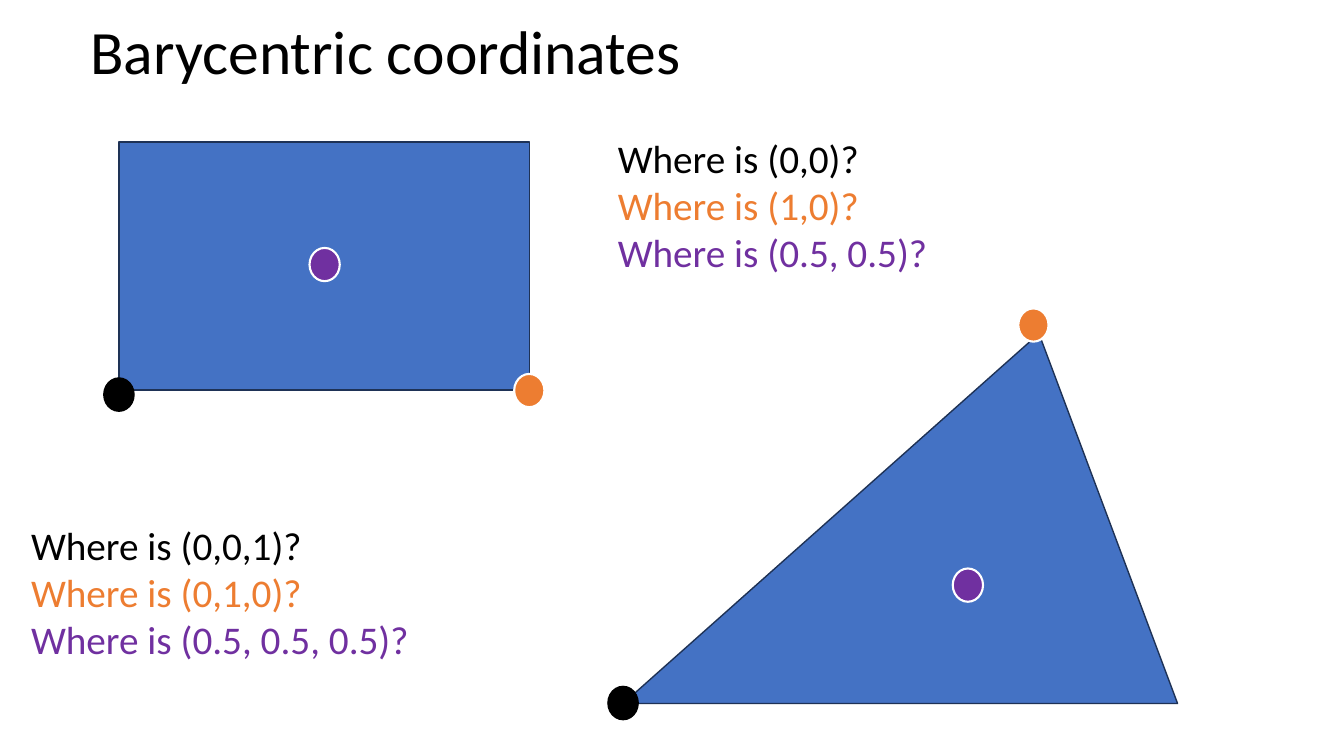
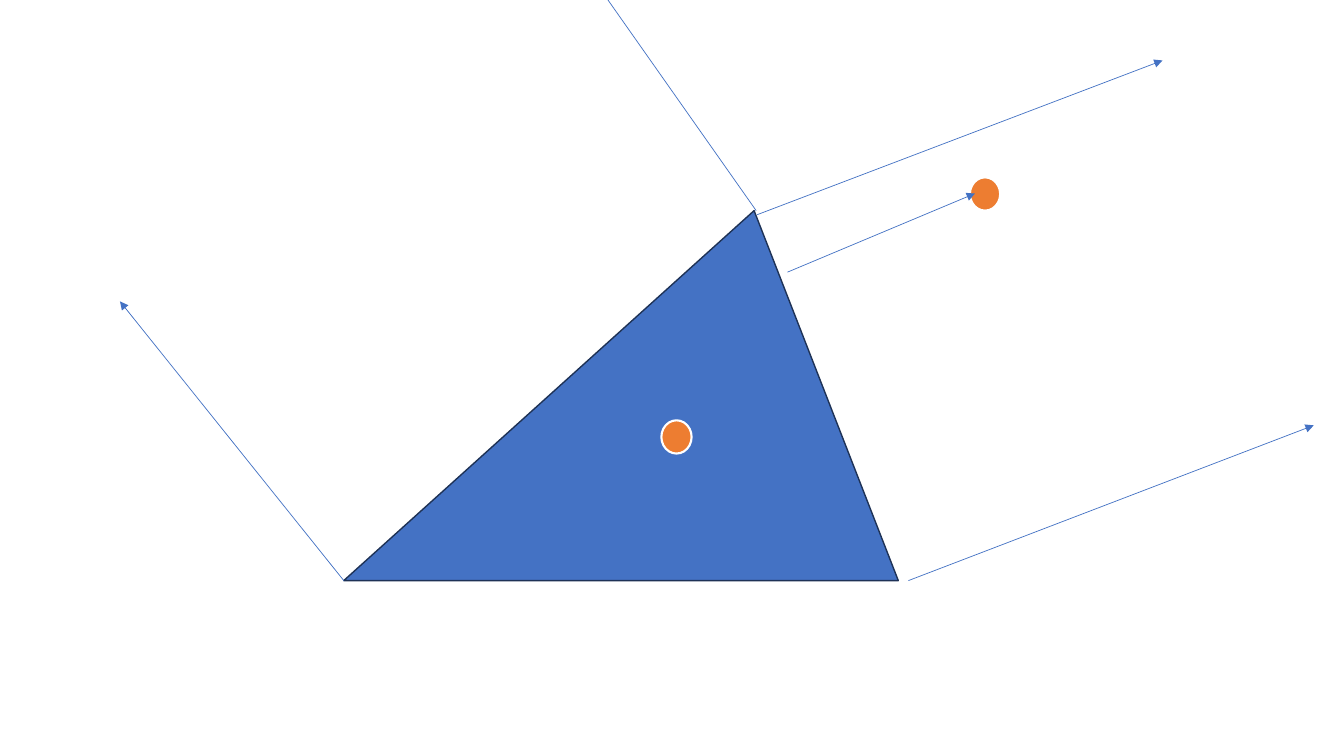
from dataclasses import dataclass

from lxml.etree import SubElement
from pptx import Presentation
from pptx.dml.color import RGBColor
from pptx.enum.shapes import MSO_CONNECTOR as Line, MSO_SHAPE as Form
from pptx.enum.text import MSO_ANCHOR as Anchor
from pptx.oxml.ns import qn
from pptx.util import Inches, Pt

# Shared look
BLACK = RGBColor(0x00, 0x00, 0x00)
WHITE = RGBColor(0xFF, 0xFF, 0xFF)
BLUE = RGBColor(0x44, 0x72, 0xC4)
NAVY = RGBColor(0x1E, 0x32, 0x56)
ORANGE = RGBColor(0xED, 0x7D, 0x31)
PURPLE = RGBColor(0x70, 0x30, 0xA0)
TITLE = {"name": "Calibri", "size": Pt(44)}
BODY = {"name": "Calibri", "size": Pt(28)}
FRAME = {"word_wrap": True, "vertical_anchor": Anchor.TOP}
TITLE_FRAME = {**FRAME, "vertical_anchor": Anchor.MIDDLE}
TINTS = (BLACK, ORANGE, PURPLE)
DOT_W, DOT_H = 0.3, 0.33


@dataclass
class Box:
    x: float
    y: float
    w: float
    h: float

    def place(self) -> tuple:
        return tuple(Inches(v) for v in (self.x, self.y, self.w, self.h))


@dataclass
class Dot:
    x: float
    y: float
    fill: RGBColor = ORANGE
    edge: RGBColor = WHITE
    width: float = 1.5


@dataclass
class Ray:
    start: tuple
    end: tuple
    arrow: bool = True


@dataclass
class Query:
    box: Box
    points: tuple


def apply(target, style: dict) -> None:
    for key, value in style.items():
        setattr(target, key, value)


def add_form(slide, form, box: Box, fill=BLUE, edge=NAVY, width=1.0):
    shape = slide.shapes.add_shape(form, *box.place())
    shape.shadow.inherit = False
    shape.fill.solid()
    shape.fill.fore_color.rgb = fill
    shape.line.color.rgb = edge
    shape.line.width = Pt(width)
    return shape


def add_wedge(slide, x: float, y: float, peak: float) -> None:
    wedge = add_form(slide, Form.ISOSCELES_TRIANGLE, Box(x, y, 5.5, 3.67))
    wedge.adjustments[0] = peak


def add_dot(slide, dot: Dot) -> None:
    box = Box(dot.x, dot.y, DOT_W, DOT_H)
    add_form(slide, Form.OVAL, box, dot.fill, dot.edge, dot.width)


def add_ray(slide, ray: Ray) -> None:
    ends = (Inches(v) for v in ray.start + ray.end)
    line = slide.shapes.add_connector(Line.STRAIGHT, *ends)
    line.line.color.rgb = BLUE
    line.line.width = Pt(0.5)
    if ray.arrow:
        SubElement(line.line._get_or_add_ln(), qn("a:tailEnd"), type="triangle")
    SubElement(line._element.spPr, qn("a:effectLst"))


def add_text(slide, box: Box, rows, font: dict, frame=FRAME, space=1.0) -> None:
    text = slide.shapes.add_textbox(*box.place()).text_frame
    apply(text, frame)
    for i, (words, tint) in enumerate(rows):
        para = text.add_paragraph() if i else text.paragraphs[0]
        para.line_spacing = space
        run = para.add_run()
        run.text = words
        apply(run.font, font)
        run.font.color.rgb = tint


def add_query(slide, query: Query) -> None:
    rows = [(f"Where is ({p})?", c) for p, c in zip(query.points, TINTS)]
    add_text(slide, query.box, rows, BODY)


# Slide 1: points on a rectangle and a triangle
def draw_points(slide) -> None:
    add_wedge(slide, 6.18, 3.31, 0.75)
    add_text(slide, Box(0.8, 0.15, 11.5, 0.78),
             [("Barycentric coordinates", BLACK)], TITLE, TITLE_FRAME, 0.9)
    add_form(slide, Form.RECTANGLE, Box(1.18, 1.41, 4.07, 2.46))
    for query in (
        Query(Box(6.03, 1.28, 6.83, 1.51), ("0,0", "1,0", "0.5, 0.5")),
        Query(Box(0.21, 5.12, 4.15, 1.51), ("0,0,1", "0,1,0", "0.5, 0.5, 0.5")),
    ):
        add_query(slide, query)
    for dot in (
        Dot(1.03, 3.75, BLACK, BLACK, 1),
        Dot(6.03, 6.81, BLACK, BLACK, 1),
        Dot(5.1, 3.71),
        Dot(10.1, 3.06),
        Dot(3.07, 2.46, PURPLE),
        Dot(9.45, 5.64, PURPLE),
    ):
        add_dot(slide, dot)


# Slide 2: rays from the triangle
def draw_rays(slide) -> None:
    add_wedge(slide, 3.41, 2.09, 0.74)
    for dot in (Dot(9.62, 1.76), Dot(6.56, 4.17)):
        add_dot(slide, dot)
    for ray in (
        Ray((7.81, 2.7), (9.67, 1.92)),
        Ray((7.51, 2.13), (11.53, 0.6)),
        Ray((9.01, 5.76), (13.03, 4.22)),
        Ray((3.41, 5.76), (1.19, 2.99)),
        Ray((7.5, 2.09), (6.03, 0), arrow=False),
    ):
        add_ray(slide, ray)


def main() -> None:
    deck = Presentation()
    apply(deck, {"slide_width": Inches(13.33), "slide_height": Inches(7.5)})
    for draw in (draw_points, draw_rays):
        draw(deck.slides.add_slide(deck.slide_layouts[6]))
    deck.save("out.pptx")


if __name__ == "__main__":
    main()
